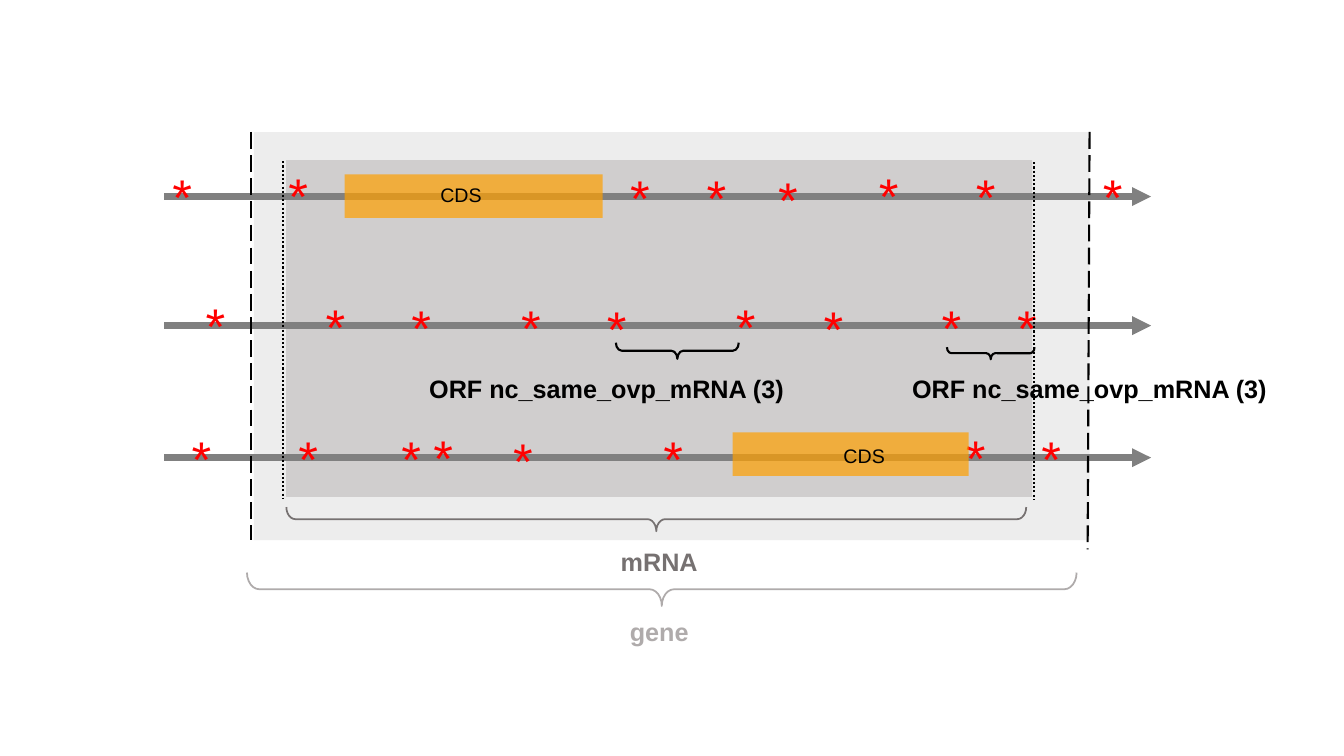
"""Draw a gene diagram with three reading frames, their stop marks and ORF spans."""
from dataclasses import dataclass
from typing import Any, Optional

from lxml.etree import SubElement as sub
from pptx import Presentation
from pptx.dml.color import RGBColor
from pptx.enum.dml import MSO_LINE as Dash
from pptx.enum.shapes import MSO_CONNECTOR as Link, MSO_SHAPE as Kind
from pptx.enum.text import MSO_AUTO_SIZE as Fit
from pptx.oxml.ns import qn
from pptx.util import Pt

BLACK = RGBColor(0x00, 0x00, 0x00)
RED = RGBColor(0xFF, 0x00, 0x00)
GRAY = RGBColor(0x80, 0x80, 0x80)
PALE = RGBColor(0xD9, 0xD9, 0xD9)
SILVER = RGBColor(0xAF, 0xAB, 0xAB)
SLATE = RGBColor(0x76, 0x71, 0x71)
ORANGE = RGBColor(0xFF, 0xA0, 0x00)

FRAME = {"word_wrap": False, "auto_size": Fit.SHAPE_TO_FIT_TEXT}
MARK = {"name": "Courier New", "size": Pt(36)}
SMALL = {"name": "Arial", "size": Pt(14)}
BOLD = {"name": "Arial", "size": Pt(18), "bold": True}


@dataclass
class Block:
    left: float
    top: float
    width: float
    height: float
    color: RGBColor
    alpha: int


@dataclass
class Rule:
    x1: float
    y1: float
    x2: float
    y2: float
    color: RGBColor = BLACK
    weight: float = 1.5
    dash: Optional[Dash] = None
    arrow: bool = False


@dataclass
class Label:
    text: str
    left: float
    top: float
    width: float
    height: float
    color: RGBColor
    font: dict[str, Any]


@dataclass
class Brace:
    left: float
    top: float
    width: float
    height: float
    color: RGBColor
    weight: float


ZONES = [
    Block(181.4, 94.3, 596.9, 291.6, PALE, 46),
    Block(204.5, 114.5, 532.8, 240.5, SILVER, 46),
]
FRAMES = [Rule(117.4, y, 822.2, y, GRAY, 4.5, arrow=True) for y in (140.4, 232.6, 326.9)]
CODING = [Block(246.2, 124.6, 184.3, 31, ORANGE, 70), Block(523.4, 308.9, 168.5, 31, ORANGE, 70)]
GENE_ENDS = [
    Rule(179.3, 94.3, 179.3, 385.9, dash=Dash.LONG_DASH),
    Rule(778.3, 94.3, 776.9, 392.4, dash=Dash.LONG_DASH),
]
MRNA_ENDS = [
    Rule(202.3, 115.2, 202.3, 355.7, dash=Dash.ROUND_DOT),
    Rule(738.7, 115.9, 738.7, 356.4, dash=Dash.ROUND_DOT),
]
STOPS = [
    (112.3, 115.9), (195.1, 115.2), (439.2, 116.6), (493.9, 116.6),
    (545, 118.1), (617, 115.2), (686.2, 115.9), (776.9, 115.9),
    (136.1, 208.1), (221.8, 208.8), (283, 209.5), (361.4, 209.5), (422.6, 210.2),
    (514.8, 208.8), (577.4, 210.2), (661.7, 209.5), (715.7, 209.5),
    (126, 303.1), (202.3, 303.1), (275.8, 303.1), (298.8, 302.4),
    (355.7, 304.6), (463, 303.1), (679, 302.4), (733, 303.1),
]
MARKS = [Label("*", x, y, 36.7, 51.1, RED, MARK) for x, y in STOPS]
TAGS = [Label("CDS", x, y, 44.6, 24.5, BLACK, SMALL) for x, y in ((307.4, 127.4), (595.4, 313.2))]
BRACES = [
    Brace(176.4, 409, 592.6, 23.8, SILVER, 1.25),
    Brace(204.5, 362.2, 528.5, 17.3, SLATE, 1.25),
    Brace(676.4, 248, 62.6, 8.6, BLACK, 1.5),
    Brace(439.9, 244.8, 87.8, 11.5, BLACK, 1.5),
]
NAMES = [
    Label("gene", 442.8, 437, 56.9, 28.8, SILVER, BOLD),
    Label("mRNA", 436.3, 386.6, 69.8, 28.8, SLATE, BOLD),
    *(Label("ORF nc_same_ovp_mRNA (3)", x, 262.8, 270, 28.8, BLACK, BOLD) for x in (299.5, 644.4)),
]


def apply(target: Any, values: dict[str, Any]) -> None:
    for key, value in values.items():
        setattr(target, key, value)


def add_block(shapes: Any, item: Block) -> None:
    box = shapes.add_shape(
        Kind.RECTANGLE, Pt(item.left), Pt(item.top), Pt(item.width), Pt(item.height))
    box.shadow.inherit = False
    box.line.fill.background()
    box.fill.solid()
    box.fill.fore_color.rgb = item.color
    tint = box.fill._xPr.find(f".//{qn('a:srgbClr')}")
    sub(tint, qn("a:alpha"), val=str(item.alpha * 1000))


def add_rule(shapes: Any, item: Rule) -> None:
    rule = shapes.add_connector(
        Link.STRAIGHT, Pt(item.x1), Pt(item.y1), Pt(item.x2), Pt(item.y2))
    rule.line.color.rgb = item.color
    apply(rule.line, {"width": Pt(item.weight), "dash_style": item.dash})
    if item.arrow:
        sub(rule.line._get_or_add_ln(), qn("a:tailEnd"), type="triangle")
    sub(rule._element.spPr, qn("a:effectLst"))


def add_label(shapes: Any, item: Label) -> None:
    box = shapes.add_textbox(Pt(item.left), Pt(item.top), Pt(item.width), Pt(item.height))
    apply(box.text_frame, FRAME)
    run = box.text_frame.paragraphs[0].add_run()
    run.text = item.text
    apply(run.font, item.font)
    run.font.color.rgb = item.color


def add_brace(shapes: Any, item: Brace) -> None:
    shift = (item.width - item.height) / 2
    brace = shapes.add_shape(
        Kind.RIGHT_BRACE, Pt(item.left + shift), Pt(item.top - shift),
        Pt(item.height), Pt(item.width))
    brace.rotation = 90
    brace.shadow.inherit = False
    brace.adjustments[0] = 0.369
    brace.fill.background()
    brace.line.color.rgb = item.color
    brace.line.width = Pt(item.weight)


DRAW = {Block: add_block, Rule: add_rule, Label: add_label, Brace: add_brace}


def main() -> None:
    deck = Presentation()
    apply(deck, {"slide_width": Pt(960), "slide_height": Pt(540)})
    shapes = deck.slides.add_slide(deck.slide_layouts[6]).shapes
    layers = [*ZONES, *FRAMES, CODING[0], *GENE_ENDS, *MARKS, CODING[1],
              *TAGS, *MRNA_ENDS, *BRACES, *NAMES]
    for item in layers:
        DRAW[type(item)](shapes, item)
    deck.save("out.pptx")


if __name__ == "__main__":
    main()
